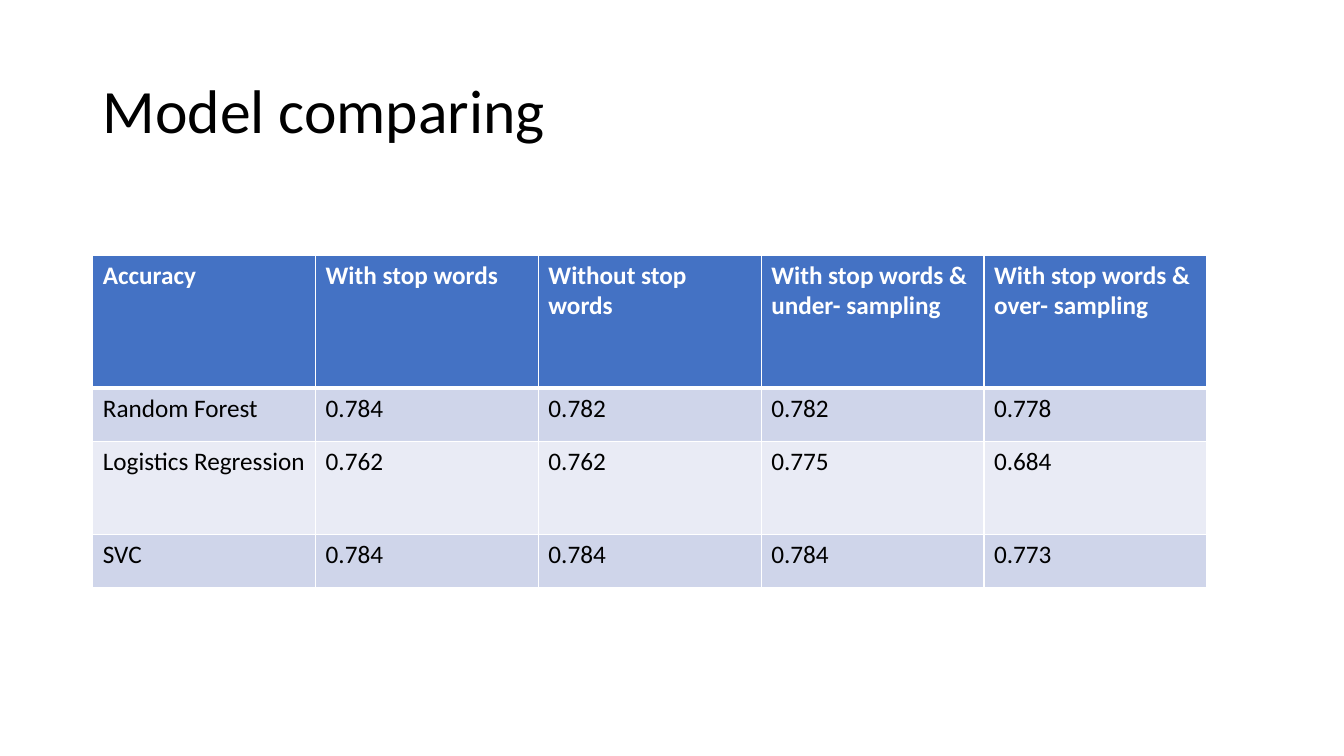
from dataclasses import dataclass

from lxml import etree
from pptx import Presentation
from pptx import util as u
from pptx.dml import color
from pptx.enum import text
from pptx.oxml import ns


@dataclass(frozen=True)
class Theme:
    font: str = "Calibri"
    title_size: int = 44
    cell_size: int = 18
    ink: str = "000000"
    paper: str = "FFFFFF"
    header: str = "4472C4"
    bands: tuple = ("CFD5EA", "E9EBF5")
    thin: int = 1
    thick: int = 3


theme = Theme()


def add_run(p, words, size, ink, bold=False):
    r = p.add_run()
    r.text = words
    r.font.name = theme.font
    r.font.size = u.Pt(size)
    r.font.bold = bold
    r.font.color.rgb = color.RGBColor.from_string(ink)


def add_border(cell, side, width):
    tc_pr = cell._tc.get_or_add_tcPr()
    ln = etree.SubElement(tc_pr, ns.qn(f"a:ln{side}"), w=str(u.Pt(width)))
    fill = etree.SubElement(ln, ns.qn("a:solidFill"))
    etree.SubElement(fill, ns.qn("a:srgbClr"), val=theme.paper)


prs = Presentation()
prs.slide_width = u.Inches(13.33)
prs.slide_height = u.Inches(7.5)
s = prs.slides.add_slide(prs.slide_layouts[6])

title = s.shapes.add_textbox(u.Inches(0.92), u.Inches(0.4), u.Inches(11.5), u.Inches(1.45))
tf = title.text_frame
tf.word_wrap = True
tf.vertical_anchor = text.MSO_ANCHOR.MIDDLE
p = tf.paragraphs[0]
p.line_spacing = 0.9
add_run(p, "Model comparing", theme.title_size, theme.ink)

accuracy_rows = [
    ("Accuracy", "With stop words", "Without stop words",
     "With stop words & under- sampling", "With stop words & over- sampling"),
    ("Random Forest", "0.784", "0.782", "0.782", "0.778"),
    ("Logistics Regression", "0.762", "0.762", "0.775", "0.684"),
    ("SVC", "0.784", "0.784", "0.784", "0.773"),
]
row_heights = [1.32, 0.53, 0.92, 0.53]
col_width = 2.21

table = s.shapes.add_table(
    len(accuracy_rows), len(accuracy_rows[0]), u.Inches(0.92), u.Inches(2.53),
    u.Inches(col_width * len(accuracy_rows[0])), u.Inches(sum(row_heights)),
).table
for col in table.columns:
    col.width = u.Inches(col_width)

for i, (values, height) in enumerate(zip(accuracy_rows, row_heights)):
    table.rows[i].height = u.Inches(height)
    is_header = i == 0
    fill = theme.header if is_header else theme.bands[(i - 1) % 2]
    ink = theme.paper if is_header else theme.ink
    top = theme.thick if i == 1 else theme.thin
    bottom = theme.thick if is_header else theme.thin
    for j, value in enumerate(values):
        cell = table.cell(i, j)
        for side, width in (("L", theme.thin), ("R", theme.thin), ("T", top), ("B", bottom)):
            add_border(cell, side, width)
        cell.fill.solid()
        cell.fill.fore_color.rgb = color.RGBColor.from_string(fill)
        add_run(cell.text_frame.paragraphs[0], value, theme.cell_size, ink, is_header)

prs.save("out.pptx")
